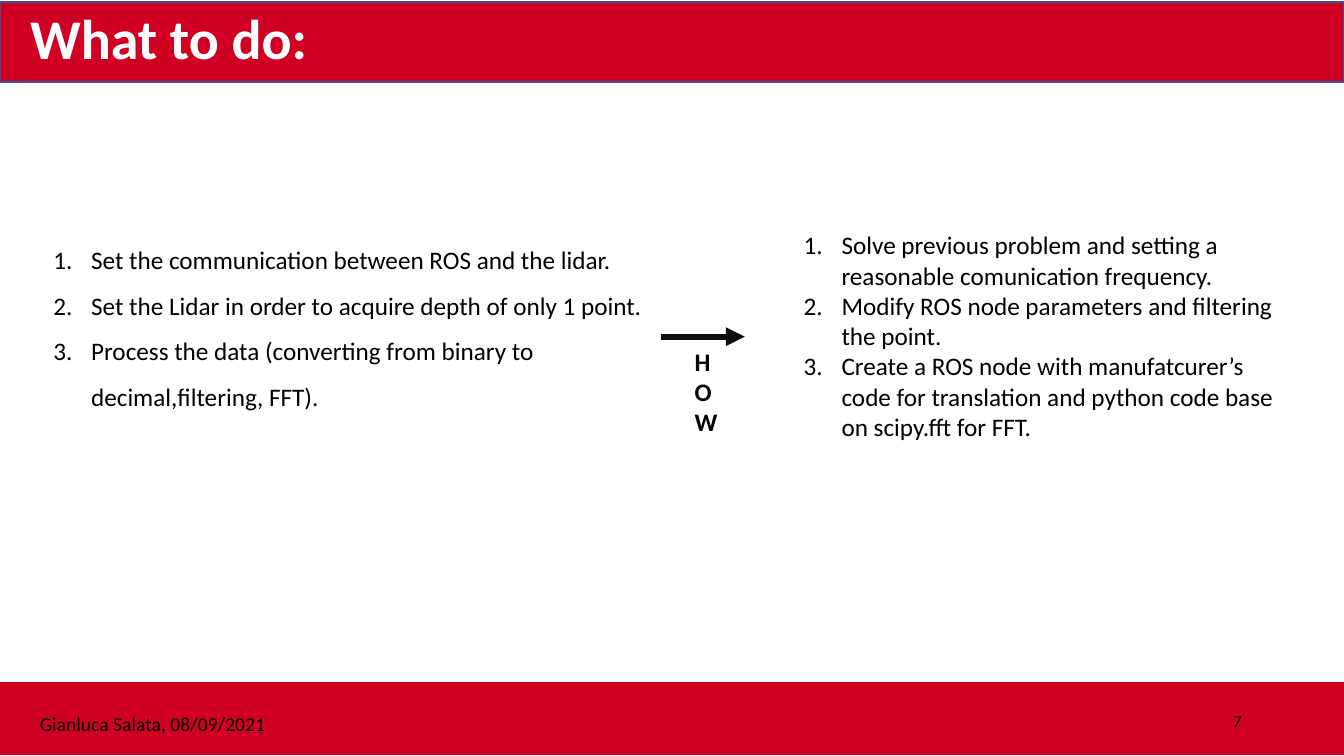
from dataclasses import dataclass

from lxml import etree
from pptx import Presentation
from pptx.dml.color import RGBColor
from pptx.enum.shapes import MSO_CONNECTOR, MSO_SHAPE
from pptx.enum.text import MSO_ANCHOR, PP_ALIGN
from pptx.oxml.ns import qn
from pptx.util import Pt

LEFT, CENTER, RIGHT = PP_ALIGN.LEFT, PP_ALIGN.CENTER, PP_ALIGN.RIGHT
TOP, MIDDLE, BOTTOM = MSO_ANCHOR.TOP, MSO_ANCHOR.MIDDLE, MSO_ANCHOR.BOTTOM
RECTANGLE = MSO_SHAPE.RECTANGLE
STRAIGHT = MSO_CONNECTOR.STRAIGHT


@dataclass(frozen=True)
class Theme:
    """Colours, font and type sizes of the slide."""
    red: RGBColor = RGBColor(0xCF, 0x00, 0x23)
    blue: RGBColor = RGBColor(0x32, 0x54, 0x91)
    black: RGBColor = RGBColor(0x00, 0x00, 0x00)
    arrow: RGBColor = RGBColor(0x0D, 0x0D, 0x0D)
    white: RGBColor = RGBColor(0xFF, 0xFF, 0xFF)
    font: str = "Calibri"
    title: int = 40
    body: int = 18
    footer: int = 14
    number: int = 12


THEME = Theme()
WIDTH, HEIGHT = 960, 540
LIST_INDENT = 27

TASKS = [
    "Set the communication between ROS and the lidar.",
    "Set the Lidar in order to acquire depth of only 1 point.",
    "Process the data (converting from binary to decimal,filtering, FFT).",
]
METHODS = [
    "Solve previous problem and setting a reasonable comunication frequency.",
    "Modify ROS node parameters and filtering the point.",
    "Create a ROS node with manufatcurer’s code for translation and python code base on scipy.fft for FFT.",
]


def add_band(slide, box, line_color):
    """Draw a red band with a thin outline."""
    shape = slide.shapes.add_shape(RECTANGLE, *map(Pt, box))
    shape.shadow.inherit = False
    shape.fill.solid()
    shape.fill.fore_color.rgb = THEME.red
    shape.line.color.rgb = line_color
    shape.line.width = Pt(1)


def number_paragraph(paragraph):
    """Give a paragraph a hanging automatic number."""
    properties = paragraph._p.get_or_add_pPr()
    properties.set("marL", str(Pt(LIST_INDENT)))
    properties.set("indent", str(Pt(-LIST_INDENT)))
    etree.SubElement(properties, qn("a:buFont"), typeface="+mj-lt")
    etree.SubElement(properties, qn("a:buAutoNum"), type="arabicPeriod")


def add_text(slide, box, lines, size, color=THEME.black, bold=False, align=LEFT,
             anchor=TOP, spacing=1.0, numbered=False, wrap=True):
    """Place paragraphs of one style in a text box."""
    frame = slide.shapes.add_textbox(*map(Pt, box)).text_frame
    frame.word_wrap = wrap
    frame.vertical_anchor = anchor
    for index, line in enumerate(lines):
        paragraph = frame.add_paragraph() if index else frame.paragraphs[0]
        paragraph.text = line
        paragraph.alignment = align
        paragraph.line_spacing = spacing
        if numbered:
            number_paragraph(paragraph)
        paragraph.font.name = THEME.font
        paragraph.font.size = Pt(size)
        paragraph.font.bold = bold
        paragraph.font.color.rgb = color


def add_header(slide, box):
    """Draw the top band and the slide title."""
    left, top, _, height = box
    add_band(slide, box, THEME.blue)
    add_text(slide, (left + 12, top, 217, height - 4), ["What to do:"], THEME.title,
             THEME.white, bold=True, align=CENTER, anchor=BOTTOM, spacing=0.9, wrap=False)


def add_footer(slide, box):
    """Draw the bottom band with the author, date and slide number."""
    left, top, width, _ = box
    add_band(slide, box, THEME.red)
    add_text(slide, (left + 21, top + 19.5, 176, 24), ["Gianluca Salata, 08/09/2021"],
             THEME.footer, align=CENTER, spacing=0.9, wrap=False)
    add_text(slide, (left + width - 282, top + 13, 216, 29), ["7"], THEME.number,
             align=RIGHT, anchor=MIDDLE)


def add_how_arrow(slide, box):
    """Draw the arrow and the stacked word below it."""
    left, top, width, height = box
    arrow = slide.shapes.add_connector(STRAIGHT, Pt(left), Pt(top), Pt(left + width), Pt(top))
    arrow.line.color.rgb = THEME.arrow
    arrow.line.width = Pt(4.5)
    etree.SubElement(arrow.line._get_or_add_ln(), qn("a:tailEnd"), type="triangle")
    etree.SubElement(arrow._element.spPr, qn("a:effectLst"))
    add_text(slide, (left + 17, top + 3, 34, height - 3), ["HOW"], THEME.body, bold=True)


def add_body(slide, box):
    """Place the tasks, the arrow and the methods side by side."""
    left, top, width, height = box
    add_text(slide, (left, top, 441, 160), TASKS, THEME.body, spacing=1.5, numbered=True)
    add_how_arrow(slide, (left + 441, top + 80, 60, 76))
    add_text(slide, (left + 536, top, width - 536, height), METHODS, THEME.body, numbered=True)


def main():
    """Build and save the presentation."""
    presentation = Presentation()
    presentation.slide_width = Pt(WIDTH)
    presentation.slide_height = Pt(HEIGHT)
    slide = presentation.slides.add_slide(presentation.slide_layouts[6])
    add_header(slide, (0, 1.5, WIDTH, 57))
    add_footer(slide, (0, 487.5, WIDTH, 51))
    add_body(slide, (31, 160.5, 892, 225))
    presentation.save("out.pptx")


if __name__ == "__main__":
    main()
